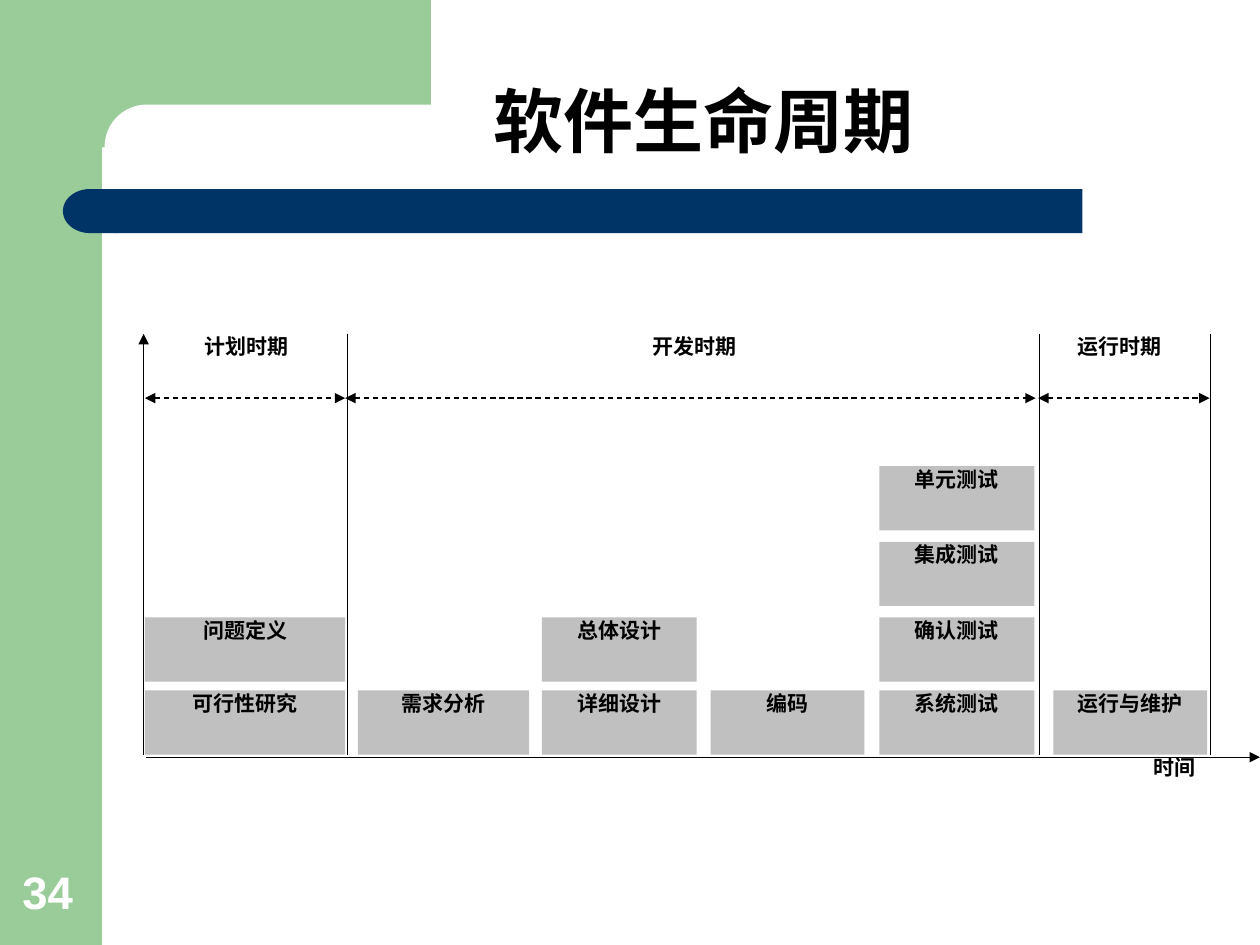
"""Build the software life cycle slide with its phase and time diagram."""
from pptx import Presentation
from pptx import util as u
from pptx.dml.color import RGBColor
from pptx.enum import dml, shapes, text
from pptx.oxml import parse_xml
from pptx.oxml.ns import nsdecls

Inches = u.Inches
MS = shapes.MSO_SHAPE
prs = Presentation()
prs.slide_width, prs.slide_height = Inches(10), Inches(7.5)
s = prs.slides.add_slide(prs.slide_layouts[5])


def rgb(value):
    return RGBColor.from_string(value)


def put_text(sp, words, size=12, font="Times New Roman", color="000000",
             align=text.PP_ALIGN.CENTER, anchor=text.MSO_ANCHOR.TOP,
             insets=(0, 0, 0, 0), spacing=None):
    tf = sp.text_frame
    tf.word_wrap = True
    tf.auto_size = text.MSO_AUTO_SIZE.NONE
    tf.vertical_anchor = anchor
    tf.margin_left, tf.margin_top, tf.margin_right, tf.margin_bottom = map(Inches, insets)
    p = tf.paragraphs[0]
    p.alignment = align
    p.line_spacing = spacing
    r = p.add_run()
    r.text = words
    r.font.name, r.font.size, r.font.bold = font, u.Pt(size), True
    r.font.color.rgb = rgb(color)


background = [
    (MS.RECTANGLE, (0, 0, 0.81, 7.5), "99CC99"),
    (MS.RECTANGLE, (0.73, 0, 2.69, 1.17), "99CC99"),
    (MS.ROUNDED_RECTANGLE, (0.83, 0.83, 5.58, 0.67), "FFFFFF"),
    (MS.RECTANGLE, (0.92, 1.5, 7.67, 0.35), "003366"),
    (MS.FLOWCHART_DELAY, (0.5, 1.5, 0.43, 0.35), "003366"),
]
row_tops = [5.48, 4.9, 4.3, 3.7]
columns = [
    (1.15, 1.59, ["可行性研究", "问题定义"]),
    (2.84, 1.36, ["需求分析"]),
    (4.3, 1.23, ["详细设计", "总体设计"]),
    (5.64, 1.22, ["编码"]),
    (6.98, 1.23, ["系统测试", "确认测试", "集成测试", "单元测试"]),
    (8.36, 1.22, ["运行与维护"]),
]
steps = [(MS.RECTANGLE, (left, top, width, 0.51), "C0C0C0", name)
         for left, width, names in columns
         for top, name in zip(row_tops, names)]

for kind, box, color, *label in background + steps:
    sp = s.shapes.add_shape(kind, *map(Inches, box))
    sp.shadow.inherit = False
    sp.fill.solid()
    sp.fill.fore_color.rgb = rgb(color)
    sp.line.fill.background()
    if kind == MS.ROUNDED_RECTANGLE:
        sp.adjustments[0] = 0.5
    if kind == MS.FLOWCHART_DELAY:
        sp.element.spPr.xfrm.set("flipH", "1")
    if label:
        put_text(sp, label[0])

title = s.shapes.title
title.element.getparent().append(title.element)
title.left, title.top, title.width, title.height = map(Inches, (1, 0.42, 8.75, 0.92))
put_text(title, "软件生命周期", size=40, font="Noto Sans Mono", align=text.PP_ALIGN.LEFT,
         anchor=text.MSO_ANCHOR.BOTTOM, insets=(2.92, 0.05, 0.1, 0.05), spacing=0.9)

page = s.shapes.add_textbox(*map(Inches, (0.08, 6.8, 0.64, 0.54)))
put_text(page, "34", size=26, font="Arial", color="FFFFFF", align=text.PP_ALIGN.LEFT,
         anchor=text.MSO_ANCHOR.BOTTOM, insets=(0.1, 0.05, 0.1, 0.05))

axes = [(1.14, 2.65, 1.14, 5.99, ["headEnd"]), (1.16, 6.01, 10, 6.01, ["tailEnd"])]
dividers = [(x, 2.65, x, 5.99, []) for x in (2.76, 8.25, 9.61)]
spans = [(x1, 3.16, x2, 3.16, ["headEnd", "tailEnd"])
         for x1, x2 in ((1.15, 2.74), (2.74, 8.22), (8.24, 9.6))]
for *ends, arrows in axes + dividers + spans:
    cx = s.shapes.add_connector(shapes.MSO_CONNECTOR.STRAIGHT, *map(Inches, ends))
    cx.line.color.rgb = rgb("000000")
    cx.line.width = u.Pt(0.75)
    if len(arrows) == 2:
        cx.line.dash_style = dml.MSO_LINE.DASH
    for arrow in arrows:
        cx.line._get_or_add_ln().append(
            parse_xml(f'<a:{arrow} {nsdecls("a")} type="triangle"/>'))
    cx.element.spPr.append(parse_xml(f'<a:effectLst {nsdecls("a")}/>'))

for words, left, top, width in [("计划时期", 1.16, 2.65, 1.59), ("开发时期", 4.72, 2.65, 1.59),
                                ("运行时期", 8.09, 2.65, 1.59), ("时间", 8.87, 5.99, 0.91)]:
    put_text(s.shapes.add_textbox(*map(Inches, (left, top, width, 0.51))), words)

prs.save("out.pptx")
